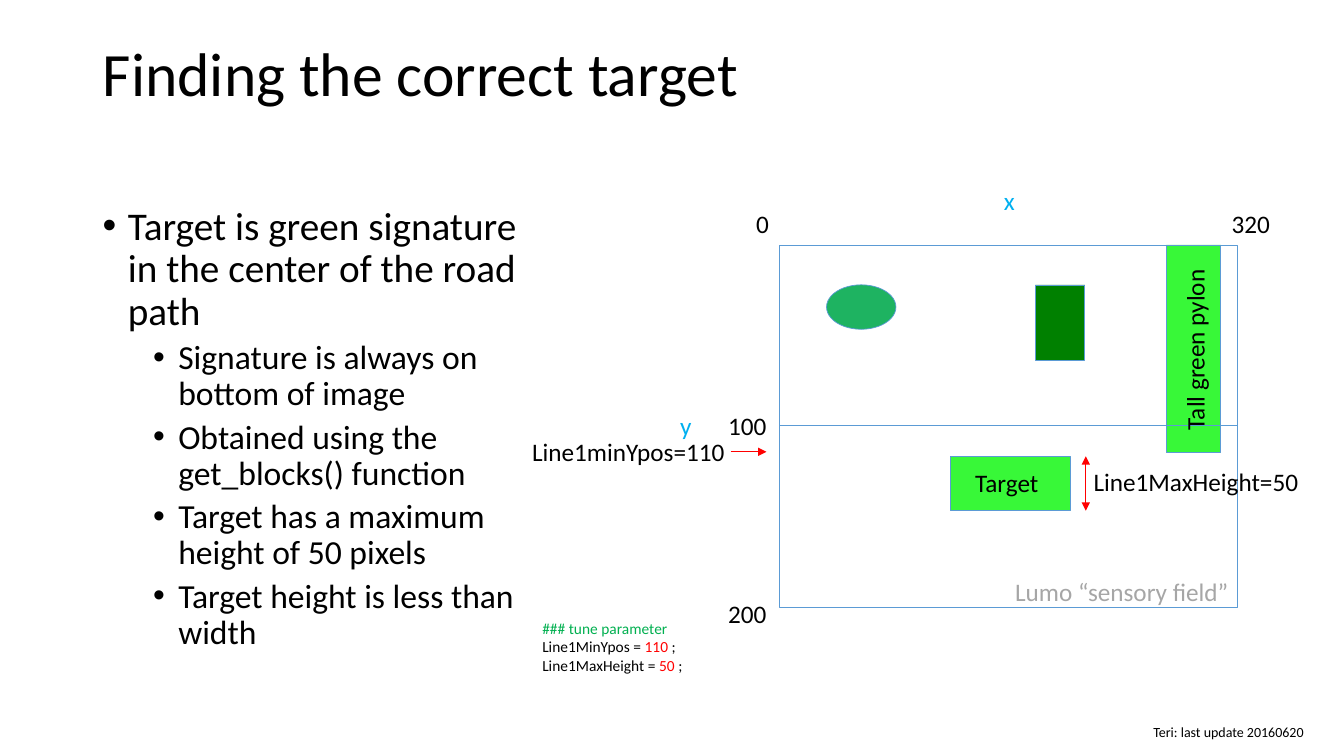
"""Build the slide on finding the correct target in the sensory field."""
import pptx
import pptx.dml.color
import pptx.enum.shapes
import pptx.enum.text
import pptx.oxml
import pptx.oxml.ns
import pptx.util

Inches, Pt = pptx.util.Inches, pptx.util.Pt
SHAPES = pptx.enum.shapes.MSO_SHAPE
ALIGN = pptx.enum.text.PP_ALIGN
ANCHOR = pptx.enum.text.MSO_ANCHOR

COLOURS = {
    "text": "000000", "axis": "00B0F0", "muted": "A6A6A6", "outline": "5B9BD5",
    "signature": "38F838", "oval": "1EB361", "dark": "008000",
    "accent": "FF0000", "comment": "00B050",
}
TITLE = "Finding the correct target"
BULLETS = [
    (0, "Target is green signature in the center of the road path"),
    (1, "Signature is always on bottom of image"),
    (1, "Obtained using the get_blocks() function"),
    (1, "Target has a maximum height of 50 pixels"),
    (1, "Target height is less than width"),
]
BULLET_STYLES = [
    {"size": 28, "indent": 0.25, "before": 10},
    {"size": 24, "indent": 0.75, "before": 5},
]
TUNING = [
    [("### tune parameter", "comment")],
    [("Line1MinYpos = ", "text"), ("110 ", "accent"), (";", "text")],
    [("Line1MaxHeight = ", "text"), ("50 ", "accent"), (";", "text")],
]

FIELD_LEFT, FIELD_TOP = 7.73, 2.43
UNIT_X, UNIT_Y = 4.54 / 320, 3.6 / 200
OBJECTS = [
    (SHAPES.RECTANGLE, 0, 0, 320, 200, None),
    (SHAPES.RECTANGLE, 270.5, 0, 38, 114.5, "signature"),
    (SHAPES.RECTANGLE, 119.5, 116.5, 84, 30, "signature"),
    (SHAPES.OVAL, 33, 22, 48.5, 24.5, "oval"),
    (SHAPES.RECTANGLE, 179, 22, 34.5, 41.5, "dark"),
]
LINES = [
    (0, 99.5, 320, 99.5, "outline", 1, []),
    (-34, 114, -9, 114, "accent", 0.5, ["tailEnd"]),
    (214.25, 116.5, 214.25, 146.5, "accent", 0.5, ["headEnd", "tailEnd"]),
]
LABELS = [
    ("x", 161, -24.5, 0.31, {"colour": "axis"}),
    ("y", -65, 99.5, 0.32, {"colour": "axis"}),
    ("0", -11.5, -11.5, 0.33, {}),
    ("320", 330, -11.5, 0.59, {}),
    ("100", -22, 99.5, 0.59, {}),
    ("200", -22, 203.5, 0.59, {}),
    ("Line1minYpos=110", -94.5, 114, 2.42, {}),
    ("Line1MaxHeight=50", 298, 130.5, 2.42, {}),
    ("Target", 159.5, 131, 0.84, {}),
    ("Tall green pylon", 290.5, 56.5, 1.84, {"rotation": 270}),
    ("Lumo “sensory field”", 242.5, 191, 2.4, {"colour": "muted"}),
    ("Teri: last update 20160620", 315.5, 268.5, 1.73, {"size": 10}),
]


def colour_of(name):
    return pptx.dml.color.RGBColor.from_string(COLOURS[name])


def field_point(x, y):
    return FIELD_LEFT + x * UNIT_X, FIELD_TOP + y * UNIT_Y


def add_element(parent, markup):
    namespace = pptx.oxml.ns.nsdecls("a")
    parent.append(pptx.oxml.parse_xml(f"<a:{markup} {namespace}/>"))


def write(paragraph, text, size=18, colour="text", spacing=None, before=0, indent=None):
    """Fill a paragraph with a string or a list of coloured runs."""
    if indent is not None:
        properties = paragraph._p.get_or_add_pPr()
        properties.set("marL", str(Inches(indent)))
        properties.set("indent", str(Inches(-0.25)))
        add_element(properties, 'buFont typeface="Arial"')
        add_element(properties, 'buChar char="•"')
    paragraph.alignment = ALIGN.LEFT
    paragraph.space_before = Pt(before)
    if spacing:
        paragraph.line_spacing = spacing
    for content, name in [(text, colour)] if isinstance(text, str) else text:
        run = paragraph.add_run()
        run.text = content
        run.font.name = "Calibri"
        run.font.size = Pt(size)
        run.font.color.rgb = colour_of(name)


def add_box(slide, left, top, width, height, wrap=True):
    box = slide.shapes.add_textbox(*map(Inches, (left, top, width, height)))
    box.text_frame.word_wrap = wrap
    return box


def add_paragraph(frame, index):
    return frame.add_paragraph() if index else frame.paragraphs[0]


def add_object(slide, kind, x, y, width, height, fill):
    left, top = field_point(x, y)
    box = (left, top, width * UNIT_X, height * UNIT_Y)
    shape = slide.shapes.add_shape(kind, *map(Inches, box))
    shape.shadow.inherit = False
    if fill:
        shape.fill.solid()
        shape.fill.fore_color.rgb = colour_of(fill)
    else:
        shape.fill.background()
    shape.line.color.rgb = colour_of("outline")
    shape.line.width = Pt(0.5)


def add_line(slide, x1, y1, x2, y2, colour, width, arrowheads):
    ends = field_point(x1, y1) + field_point(x2, y2)
    kind = pptx.enum.shapes.MSO_CONNECTOR.STRAIGHT
    connector = slide.shapes.add_connector(kind, *map(Inches, ends))
    connector.line.color.rgb = colour_of(colour)
    connector.line.width = Pt(width)
    for arrowhead in arrowheads:
        add_element(connector.line._get_or_add_ln(), f'{arrowhead} type="triangle"')
    add_element(connector._element.spPr, "effectLst")


def add_label(slide, text, x, y, width, rotation=0, size=18, colour="text"):
    center_x, center_y = field_point(x, y)
    height = size * 1.22 / 72 + 0.1
    box = add_box(slide, center_x - width / 2, center_y - height / 2, width, height, False)
    box.rotation = rotation
    write(box.text_frame.paragraphs[0], text, size=size, colour=colour)


def main():
    presentation = pptx.Presentation()
    presentation.slide_width, presentation.slide_height = Inches(13.33), Inches(7.5)
    slide = presentation.slides.add_slide(presentation.slide_layouts[5])

    title = slide.shapes.title
    title.left, title.top, title.width, title.height = map(Inches, (0.92, 0.38, 11.5, 1.45))
    title.text_frame.vertical_anchor = ANCHOR.TOP
    write(title.text_frame.paragraphs[0], TITLE, size=44, spacing=0.9)

    body = add_box(slide, 0.92, 2, 4.64, 4.56).text_frame
    for index, (level, text) in enumerate(BULLETS):
        style = dict(BULLET_STYLES[level])
        if index == 0:
            style["before"] = 0
        paragraph = add_paragraph(body, index)
        paragraph.level = level
        write(paragraph, text, spacing=0.9, **style)

    for item in OBJECTS:
        add_object(slide, *item)
    for item in LINES:
        add_line(slide, *item)
    for *place, style in LABELS:
        add_label(slide, *place, **style)

    tuning = add_box(slide, 5.28, 6.09, 2.05, 0.84).text_frame
    for index, runs in enumerate(TUNING):
        write(add_paragraph(tuning, index), runs, size=11)

    presentation.save("out.pptx")


if __name__ == "__main__":
    main()
